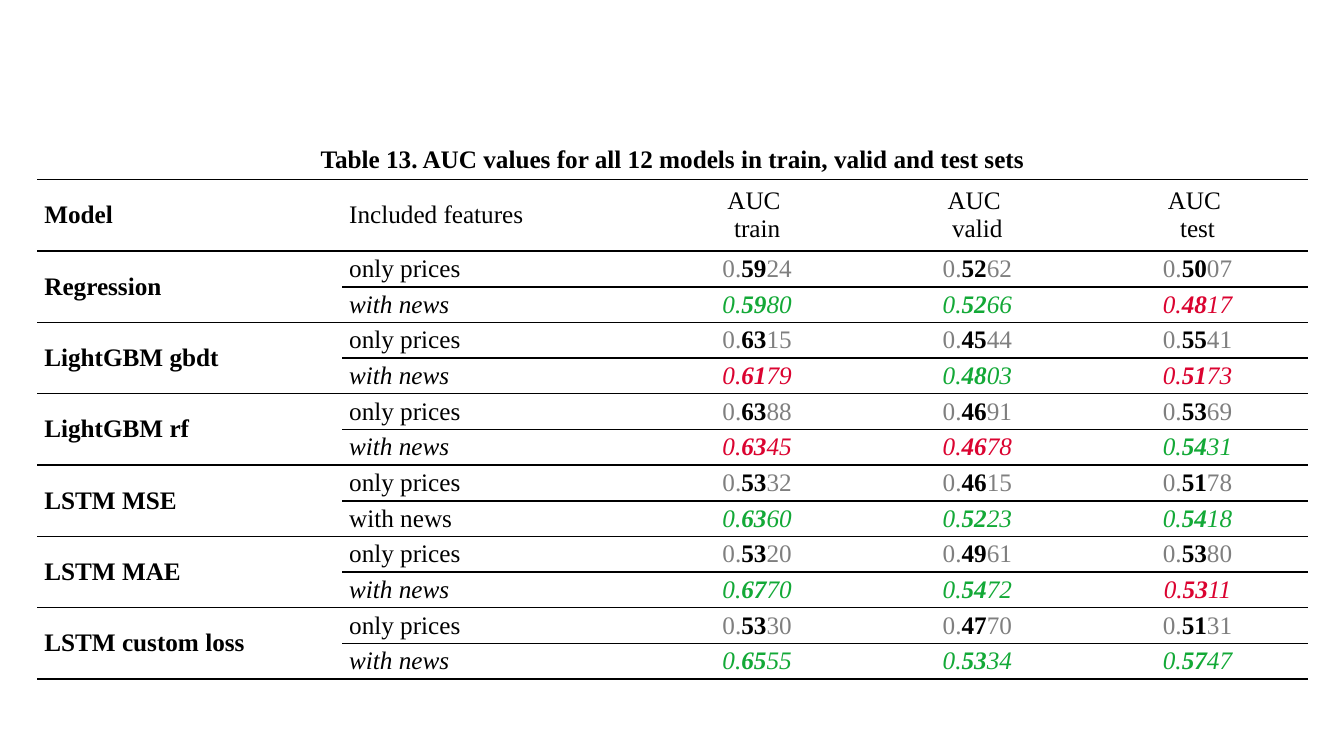
import pptx
import pptx.util
import pptx.dml.color
import pptx.enum.text
import lxml.etree

Inch, Pt = pptx.util.Inches, pptx.util.Pt
RGB = pptx.dml.color.RGBColor
ALIGN = pptx.enum.text.PP_ALIGN
MIDDLE = pptx.enum.text.MSO_ANCHOR.MIDDLE
BLACK = RGB(0x00, 0x00, 0x00)
GREY = RGB(0x7F, 0x7F, 0x7F)
GREEN = RGB(0x13, 0xA9, 0x37)
RED = RGB(0xDB, 0x03, 0x30)
NS = "http://schemas.openxmlformats.org/drawingml/2006/main"
PLAIN = "{2D5ABB26-0587-4C30-8999-92F81FD0307C}"
WIDE, HIGH = 13.33, 7.5
BOX = (0.37, 1.39, 12.6, 5.35)
COLS = (0.24, 0.24, 0.52 / 3, 0.52 / 3, 0.52 / 3)
TITLE = "Table 13. AUC values for all 12 models in train, valid and test sets"
SETS = ("train", "valid", "test")
MODELS = (
    ("Regression", ("0.5924", "0.5262", "0.5007"), ("0.5980", "0.5266", "0.4817")),
    ("LightGBM gbdt", ("0.6315", "0.4544", "0.5541"), ("0.6179", "0.4803", "0.5173")),
    ("LightGBM rf", ("0.6388", "0.4691", "0.5369"), ("0.6345", "0.4678", "0.5431")),
    ("LSTM MSE", ("0.5332", "0.4615", "0.5178"), ("0.6360", "0.5223", "0.5418")),
    ("LSTM MAE", ("0.5320", "0.4961", "0.5380"), ("0.6770", "0.5472", "0.5311")),
    ("LSTM custom loss", ("0.5330", "0.4770", "0.5131"), ("0.6555", "0.5334", "0.5747")),
)
UPRIGHT = ("LSTM MSE",)


def style(item, **values):
    for name, value in values.items():
        setattr(item, name, value)


def write(par, text, color=BLACK, bold=False, italic=False):
    run = par.add_run()
    run.text = text
    style(run.font, name="Times New Roman", size=Pt(18), bold=bold, italic=italic)
    run.font.color.rgb = color


def label(cell, *lines, align=ALIGN.LEFT, **look):
    frame = cell.text_frame
    for num, line in enumerate(lines):
        par = frame.add_paragraph() if num else frame.paragraphs[0]
        par.alignment = align
        write(par, line, **look)


def score(cell, text, edge, core, italic):
    par = cell.text_frame.paragraphs[0]
    par.alignment = ALIGN.CENTER
    write(par, text[:2], edge, False, italic)
    write(par, text[2:4], core, True, italic)
    write(par, text[4:], edge, False, italic)


def border(cell, side, width):
    line = lxml.etree.Element(f"{{{NS}}}ln{side}", w=str(Pt(width)))
    fill = lxml.etree.SubElement(line, f"{{{NS}}}solidFill")
    lxml.etree.SubElement(fill, f"{{{NS}}}srgbClr", val=str(BLACK))
    cell._tc.get_or_add_tcPr().insert(0, line)


def blank(slide, box, rows):
    shape = slide.shapes.add_table(rows, len(COLS), *map(Inch, box))
    grid = shape.table
    style(grid, first_row=False, horz_banding=False)
    grid._tbl.tblPr.find(f"{{{NS}}}tableStyleId").text = PLAIN
    for col, share in zip(grid.columns, COLS):
        col.width = Inch(box[2] * share)
    title, head = 0.39, 0.71
    body = (box[3] - title - head) / (rows - 2)
    for row, height in zip(grid.rows, [title, head] + [body] * (rows - 2)):
        row.height = Inch(height)
    for cell in grid.iter_cells():
        cell.fill.background()
        style(cell, vertical_anchor=MIDDLE, margin_top=0, margin_bottom=0,
              margin_left=Inch(0.07), margin_right=Inch(0.07))
    return grid


def heads(grid):
    grid.cell(0, 0).merge(grid.cell(0, len(COLS) - 1))
    label(grid.cell(0, 0), TITLE, align=ALIGN.CENTER, bold=True)
    label(grid.cell(1, 0), "Model", bold=True)
    label(grid.cell(1, 1), "Included features")
    for col, name in enumerate(SETS, 2):
        label(grid.cell(1, col), "AUC ", name, align=ALIGN.CENTER)


def group(grid, top, name, prices, news):
    grid.cell(top, 0).merge(grid.cell(top + 1, 0))
    label(grid.cell(top, 0), name, bold=True)
    label(grid.cell(top, 1), "only prices")
    label(grid.cell(top + 1, 1), "with news", italic=name not in UPRIGHT)
    for col, (base, new) in enumerate(zip(prices, news), 2):
        tone = GREEN if float(new) > float(base) else RED
        score(grid.cell(top, col), base, GREY, BLACK, False)
        score(grid.cell(top + 1, col), new, tone, tone, True)


def rules(grid):
    last = len(grid.rows) - 1
    lines = [(0, 1.5), (1, 1.5)]
    lines += [(2 * num + 1, 1 if num % 3 else 1.5) for num in range(1, len(MODELS) + 1)]
    for row, width in reversed(lines):
        for col in range(len(COLS)):
            if row < last:
                border(grid.cell(row + 1, col), "T", width)
            border(grid.cell(row, col), "B", width)
        if row > 1:
            border(grid.cell(row - 1, 0), "B", width)


def table(slide, box):
    grid = blank(slide, box, 2 + 2 * len(MODELS))
    heads(grid)
    for num, model in enumerate(MODELS):
        group(grid, 2 + 2 * num, *model)
    rules(grid)


def main():
    deck = pptx.Presentation()
    style(deck, slide_width=Inch(WIDE), slide_height=Inch(HIGH))
    slide = deck.slides.add_slide(deck.slide_layouts[6])
    table(slide, BOX)
    deck.save("out.pptx")


if __name__ == "__main__":
    main()
